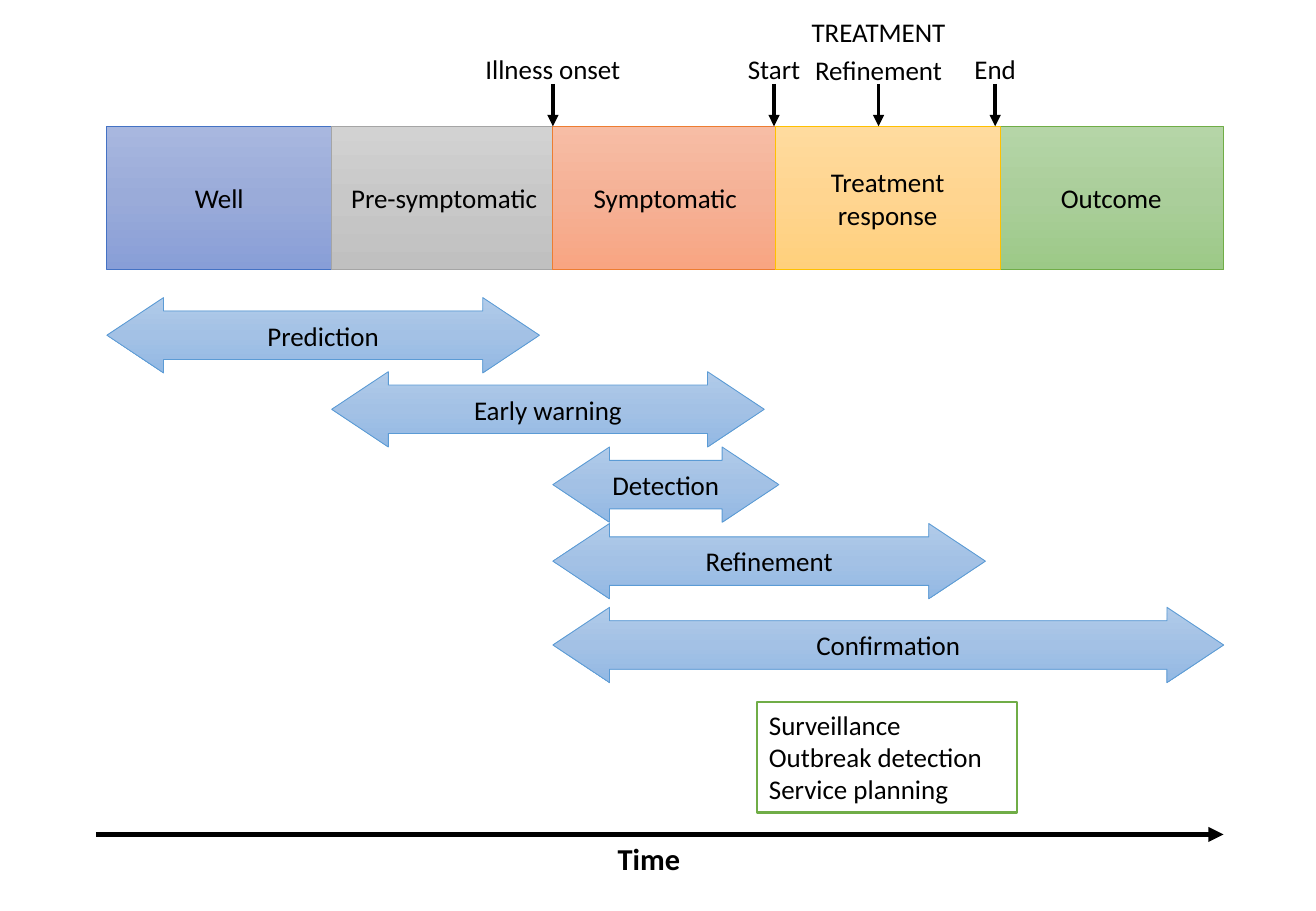
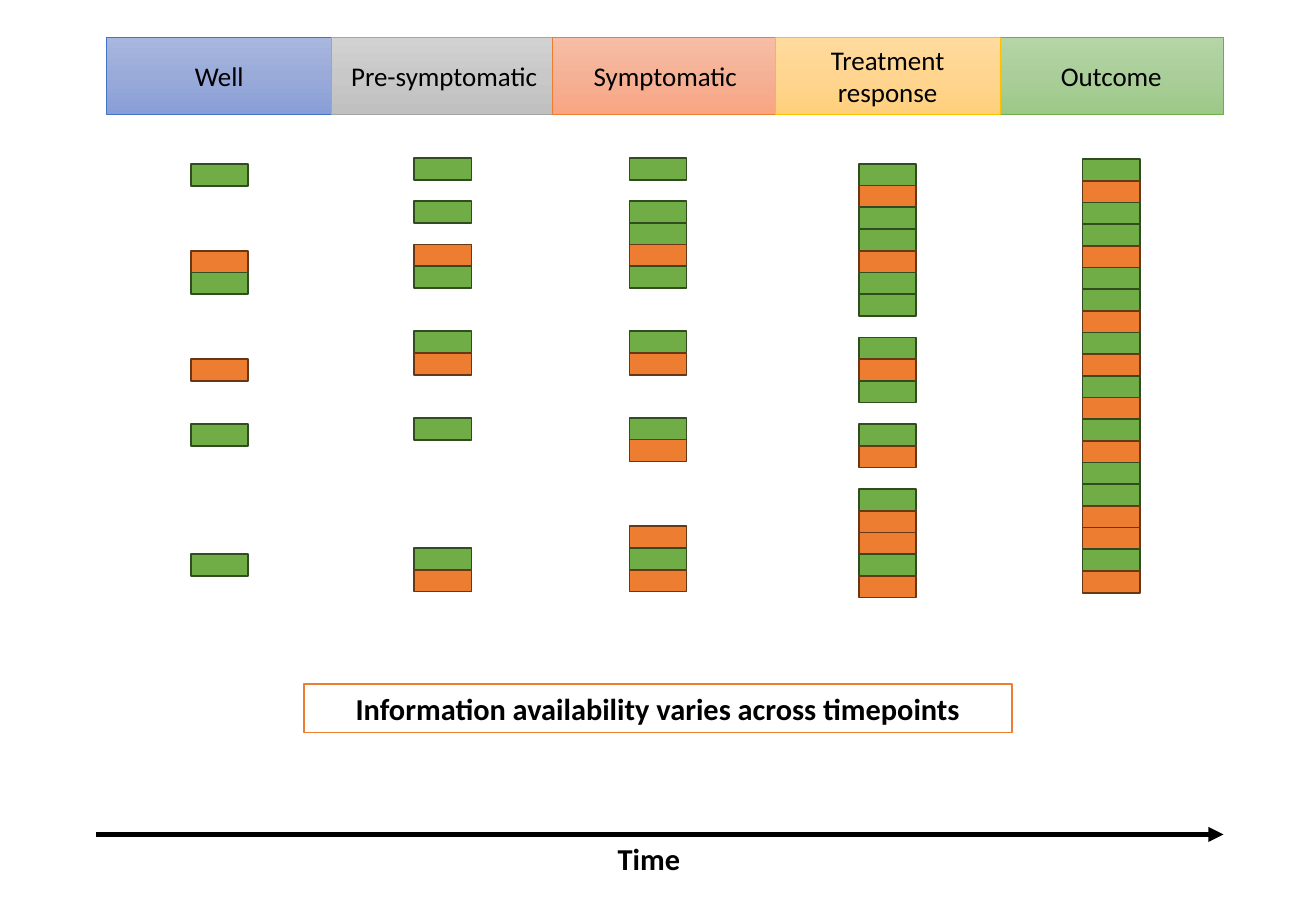
"""Build two slides on the stages of an illness and the information available at each."""
import copy
from dataclasses import dataclass

import pptx
import pptx.dml.color
import pptx.enum.shapes
import pptx.enum.text
import pptx.oxml
import pptx.oxml.ns
import pptx.util

SHAPES = pptx.enum.shapes.MSO_SHAPE
ALIGN = pptx.enum.text.PP_ALIGN
ANCHOR = pptx.enum.text.MSO_ANCHOR


@dataclass(frozen=True)
class Theme:
    font: str = "Calibri"
    body_size: int = 16
    strong_size: int = 18
    ink: str = "000000"
    paper: str = "FFFFFF"
    green: str = "70AD47"
    orange: str = "ED7D31"
    arrow_line: str = "5B9BD5"
    arrow_fill: tuple = ("B1CBE9", "A3C1E5", "93B9E4")


THEME = Theme()
SLIDE_SIZE = (10.83, 7.5)

STAGES = [
    ("Well", 0.88, ("A8B7DF", "9AABD9", "889ED7"), "4472C4"),
    ("Pre-symptomatic", 2.73, ("D2D2D2", "C8C8C8", "C0C0C0"), "A5A5A5"),
    ("Symptomatic", 4.55, ("F7BDA5", "F5B196", "F8A582"), THEME.orange),
    ("Outcome", 8.22, ("B5D5A7", "AACE9A", "9CC987"), THEME.green),
    ("Treatment response", 6.38, ("FFDB9E", "FFD590", "FFD07C"), "FFC000"),
]
STAGE_WIDTH = 1.85
STAGE_LEFT = {name: left for name, left, _, _ in STAGES}

TASKS = [
    ("Prediction", "Well", 2.45, 3.56),
    ("Early warning", "Pre-symptomatic", 3.06, 3.56),
    ("Detection", "Symptomatic", 3.68, 1.86),
    ("Refinement", "Symptomatic", 4.31, 3.56),
    ("Confirmation", "Symptomatic", 5.0, 5.52),
]
TASK_HEIGHT = 0.62

EVENTS = [
    ("Illness onset", 4.55, 0.38, 1.75),
    ("Start", 6.37, 0.38, 1.34),
    ("Refinement", 7.23, 0.39, 1.34),
    ("End", 8.19, 0.38, 1.34),
]
USES = ["Surveillance", "Outbreak detection", "Service planning"]

INFORMATION = [
    (1.57, 1.35, "G...OG...O..G.....G."),
    (3.41, 1.30, "G.G.OG..GO..G.....GO"),
    (5.18, 1.30, "G.GGOG..GO..GO...OGO"),
    (7.07, 1.35, "GOGGOGG.GOG.GO.GOOGO"),
    (8.91, 1.31, "GOGGOGGOGOGOGOGGOOGO"),
]
BLOCK_COLOURS = {"G": (THEME.green, "314C1F"), "O": (THEME.orange, "683715")}
BLOCK_SIZE = (0.47, 0.18)
BLOCK_PITCH = 3.39 / 19


def inches(*lengths):
    return [pptx.util.Inches(length) for length in lengths]


def colour(value):
    return pptx.dml.color.RGBColor.from_string(value)


def set_line(shape, line_colour, width):
    shape.line.color.rgb = colour(line_colour)
    shape.line.width = pptx.util.Pt(width)


def set_fill(shape, fill):
    if isinstance(fill, str):
        shape.fill.solid()
        shape.fill.fore_color.rgb = colour(fill)
        return
    shape.fill.gradient()
    shape.fill.gradient_angle = 270
    stop_list = next(shape._element.iter(pptx.oxml.ns.qn("a:gsLst")))
    stop_list.insert(1, copy.deepcopy(stop_list[0]))
    for stop, position, value in zip(shape.fill.gradient_stops, (0, 0.5, 1), fill):
        stop.position = position
        stop.color.rgb = colour(value)


def write(shape, lines, align=ALIGN.CENTER, anchor=ANCHOR.TOP, strong=False):
    frame = shape.text_frame
    frame.word_wrap = True
    frame.vertical_anchor = anchor
    for index, line in enumerate(lines):
        paragraph = frame.paragraphs[0] if index == 0 else frame.add_paragraph()
        paragraph.alignment = align
        run = paragraph.add_run()
        run.text = line
        run.font.name = THEME.font
        run.font.size = pptx.util.Pt(THEME.strong_size if strong else THEME.body_size)
        run.font.bold = strong
        run.font.color.rgb = colour(THEME.ink)


def add_box(shapes, box, fill, line_colour, width, kind=SHAPES.RECTANGLE):
    shape = shapes.add_shape(kind, *inches(*box))
    shape.shadow.inherit = False
    set_fill(shape, fill)
    set_line(shape, line_colour, width)
    return shape


def add_label(slide, text, box, strong=False):
    label = slide.shapes.add_textbox(*inches(*box))
    write(label, [text], strong=strong)
    label.text_frame.auto_size = pptx.enum.text.MSO_AUTO_SIZE.SHAPE_TO_FIT_TEXT


def add_arrow(slide, ends, width):
    connector = slide.shapes.add_connector(
        pptx.enum.shapes.MSO_CONNECTOR.STRAIGHT, *inches(*ends))
    set_line(connector, THEME.ink, width)
    properties = connector._element.spPr
    head = pptx.oxml.parse_xml(f'<a:tailEnd {pptx.oxml.ns.nsdecls("a")} type="triangle"/>')
    properties.find(pptx.oxml.ns.qn("a:ln")).append(head)
    properties.append(pptx.oxml.parse_xml(f'<a:effectLst {pptx.oxml.ns.nsdecls("a")}/>'))


def add_stage_slide(presentation, top, height):
    slide = presentation.slides.add_slide(presentation.slide_layouts[6])
    for name, left, fill, line_colour in STAGES:
        stage = add_box(slide.shapes, (left, top, STAGE_WIDTH, height), fill, line_colour, 0.5)
        write(stage, [name], anchor=ANCHOR.MIDDLE)
    add_arrow(slide, (0.79, 6.87, 10.07, 6.87), 3)
    add_label(slide, "Time", (3.8, 6.87, 3.08, 0.4), strong=True)
    return slide


def build_tasks(presentation):
    stage_top = 1.04
    slide = add_stage_slide(presentation, stage_top, 1.18)
    for name, stage, top, width in TASKS:
        task = add_box(slide.shapes, (STAGE_LEFT[stage], top, width, TASK_HEIGHT),
                       THEME.arrow_fill, THEME.arrow_line, 0.5, SHAPES.LEFT_RIGHT_ARROW)
        task.adjustments[0] = 0.644
        task.adjustments[1] = 0.752
        write(task, [name], anchor=ANCHOR.MIDDLE)
    for name, centre, top, width in EVENTS:
        add_arrow(slide, (centre, 0.69, centre, stage_top), 2.25)
        add_label(slide, name, (centre - width / 2, top, width, 0.37))
    add_label(slide, "TREATMENT", (6.56, 0.08, 1.34, 0.37))
    uses = add_box(slide.shapes, (6.23, 5.78, 2.14, 0.91), THEME.paper, THEME.green, 1.5)
    write(uses, USES, align=ALIGN.LEFT)


def build_information(presentation):
    slide = add_stage_slide(presentation, 0.31, 0.63)
    for left, top, blocks in INFORMATION:
        column = slide.shapes.add_group_shape()
        for row, kind in enumerate(blocks):
            if kind in BLOCK_COLOURS:
                box = (left, top + row * BLOCK_PITCH, *BLOCK_SIZE)
                add_box(column.shapes, box, *BLOCK_COLOURS[kind], 1)
    message = add_box(slide.shapes, (2.5, 5.63, 5.83, 0.4), THEME.paper, THEME.orange, 1)
    write(message, ["Information availability varies across timepoints"], strong=True)


def main():
    presentation = pptx.Presentation()
    presentation.slide_width, presentation.slide_height = inches(*SLIDE_SIZE)
    build_tasks(presentation)
    build_information(presentation)
    presentation.save("out.pptx")


if __name__ == "__main__":
    main()
